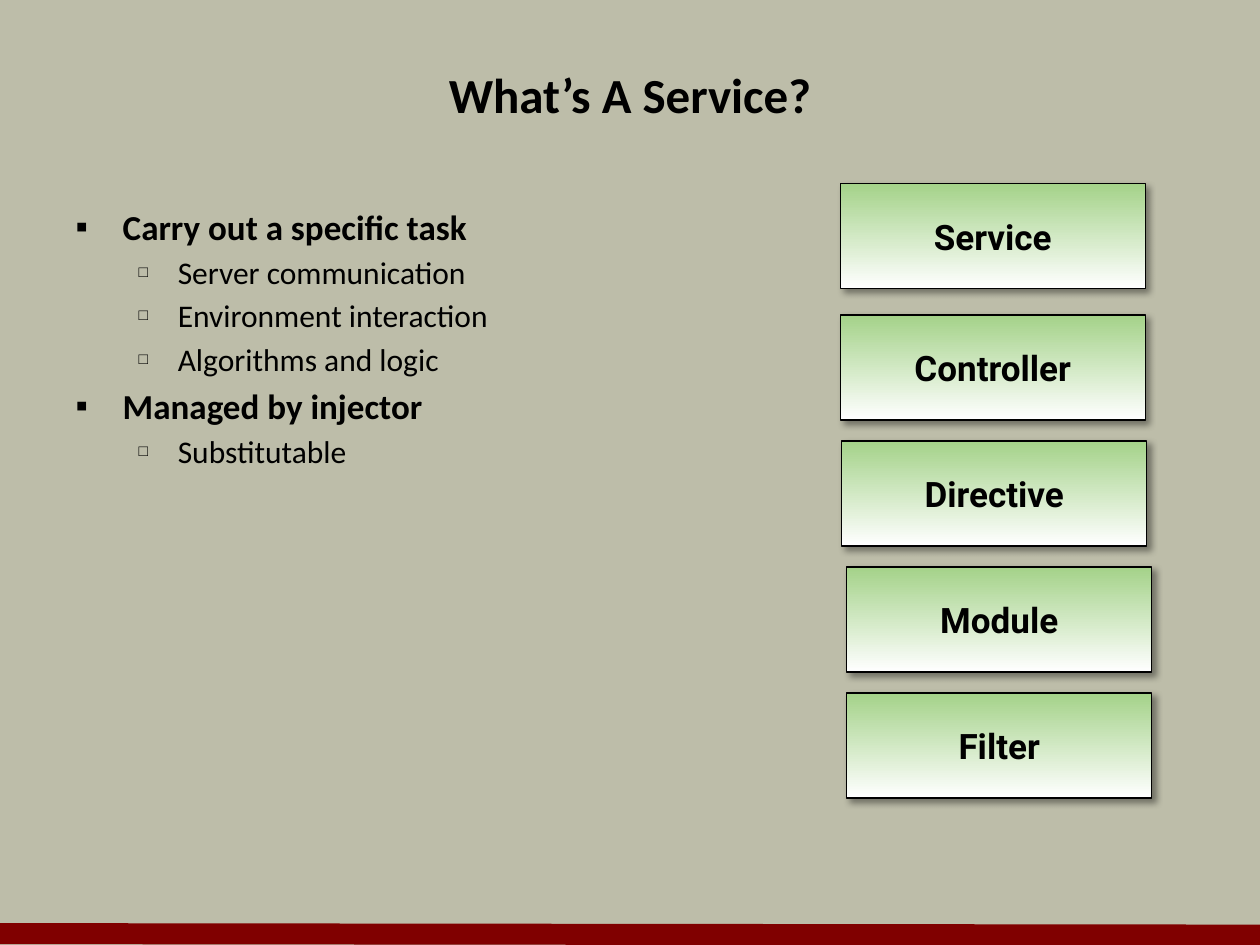
from lxml import etree
from pptx import Presentation
from pptx.dml.color import RGBColor
from pptx.enum.shapes import MSO_CONNECTOR, MSO_SHAPE
from pptx.enum.text import MSO_ANCHOR, PP_ALIGN
from pptx.oxml.ns import qn
from pptx.util import Cm, Pt

STRAIGHT = MSO_CONNECTOR.STRAIGHT
RECTANGLE = MSO_SHAPE.RECTANGLE
MIDDLE = MSO_ANCHOR.MIDDLE
TOP = MSO_ANCHOR.TOP
CENTER = PP_ALIGN.CENTER
LEFT = PP_ALIGN.LEFT

COLORS = {
    "background": "BDBDA9",
    "footer": "800000",
    "ink": "000000",
    "green": "A4D289",
    "white": "FFFFFF",
}

# Per list level: bullet, bullet size %, margin cm, hanging cm, text size, space before, bold
LEVELS = [
    ("▪", 100, 0.95, 0.95, 20, 4, True),
    ("□", 50, 2.06, 0.79, 18, 3.2, False),
]
POINTS = [
    (0, "Carry out a specific task"),
    (1, "Server communication"),
    (1, "Environment interaction"),
    (1, "Algorithms and logic"),
    (0, "Managed by injector"),
    (1, "Substitutable"),
]

# Building blocks below the service, with their left edges in cm
BLOCKS = [("Controller", 16.94), ("Directive", 16.97), ("Module", 17.07), ("Filter", 17.07)]
BLOCKS_TOP, BLOCK_STEP = 6.35, 2.54


def color(name):
    return RGBColor.from_string(COLORS[name])


def place(shape, left, top, width, height):
    shape.left, shape.top = Cm(left), Cm(top)
    shape.width, shape.height = Cm(width), Cm(height)


def set_font(paragraph, name, size, bold):
    font = paragraph.font
    font.name, font.size, font.bold = name, Pt(size), bold
    font.color.rgb = color("ink")


def set_bullet(paragraph, char, percent, margin, hanging):
    properties = paragraph._p.get_or_add_pPr()
    properties.set("marL", str(Cm(margin)))
    properties.set("indent", str(-Cm(hanging)))
    etree.SubElement(properties, qn("a:buSzPct"), val=str(percent * 1000))
    etree.SubElement(properties, qn("a:buChar"), char=char)


def add_effects(shape):
    return etree.SubElement(shape._element.spPr, qn("a:effectLst"))


def add_footer_line(page):
    line = page.shapes.add_connector(STRAIGHT, Cm(0), Cm(18.82), Cm(25.4), Cm(18.85))
    line.line.color.rgb = color("footer")
    line.line.width = Pt(12)
    add_effects(line)


def fill_title(title, text):
    place(title, 1.27, 0.84, 22.86, 2.11)
    title.text_frame.vertical_anchor = MIDDLE
    para = title.text_frame.paragraphs[0]
    para.text = text
    para.alignment = CENTER
    set_font(para, "Calibri", 28, True)


def fill_list(body, points):
    place(body, 1.27, 4.01, 22.86, 12.5)
    frame = body.text_frame
    frame.vertical_anchor = TOP
    for index, (level, text) in enumerate(points):
        char, percent, margin, hanging, size, before, bold = LEVELS[level]
        para = frame.add_paragraph() if index else frame.paragraphs[0]
        para.text = text
        para.level = level
        para.alignment = LEFT
        para.space_before = Pt(before if index else 0)
        set_bullet(para, char, percent, margin, hanging)
        set_font(para, "Calibri", size, bold)


def add_block(page, text, left, top):
    box = page.shapes.add_shape(RECTANGLE, Cm(left), Cm(top), Cm(6.15), Cm(2.12))
    # Green to white, from top to bottom
    box.fill.gradient()
    box.fill.gradient_angle = 270
    for stop, name in zip(box.fill.gradient_stops, ("green", "white")):
        stop.color.rgb = color(name)
    box.line.color.rgb = color("ink")
    box.line.width = Pt(0.75)

    # Soft shadow to the lower right
    shadow = etree.SubElement(
        add_effects(box), qn("a:outerShdw"), blurRad=str(Pt(4)), dist=str(Pt(3)),
        dir=str(45 * 60000), algn="tl", rotWithShape="0")
    tint = etree.SubElement(shadow, qn("a:srgbClr"), val=COLORS["ink"])
    etree.SubElement(tint, qn("a:alpha"), val="40000")

    box.text_frame.word_wrap = False
    box.text_frame.vertical_anchor = MIDDLE
    para = box.text_frame.paragraphs[0]
    para.text = text
    para.alignment = CENTER
    set_font(para, "Roboto", 20, True)


def main():
    deck = Presentation()
    deck.slide_width, deck.slide_height = Cm(25.4), Cm(19.05)
    page = deck.slides.add_slide(deck.slide_layouts[1])
    page.background.fill.solid()
    page.background.fill.fore_color.rgb = color("background")

    # Title, list and footer
    add_footer_line(page)
    fill_title(page.shapes.title, "What’s A Service?")
    fill_list(page.placeholders[1], POINTS)

    # Column of blocks, with the service on top
    for row, (text, left) in enumerate(BLOCKS):
        add_block(page, text, left, BLOCKS_TOP + row * BLOCK_STEP)
    add_block(page, "Service", 16.94, 3.7)

    deck.save("out.pptx")


if __name__ == "__main__":
    main()
